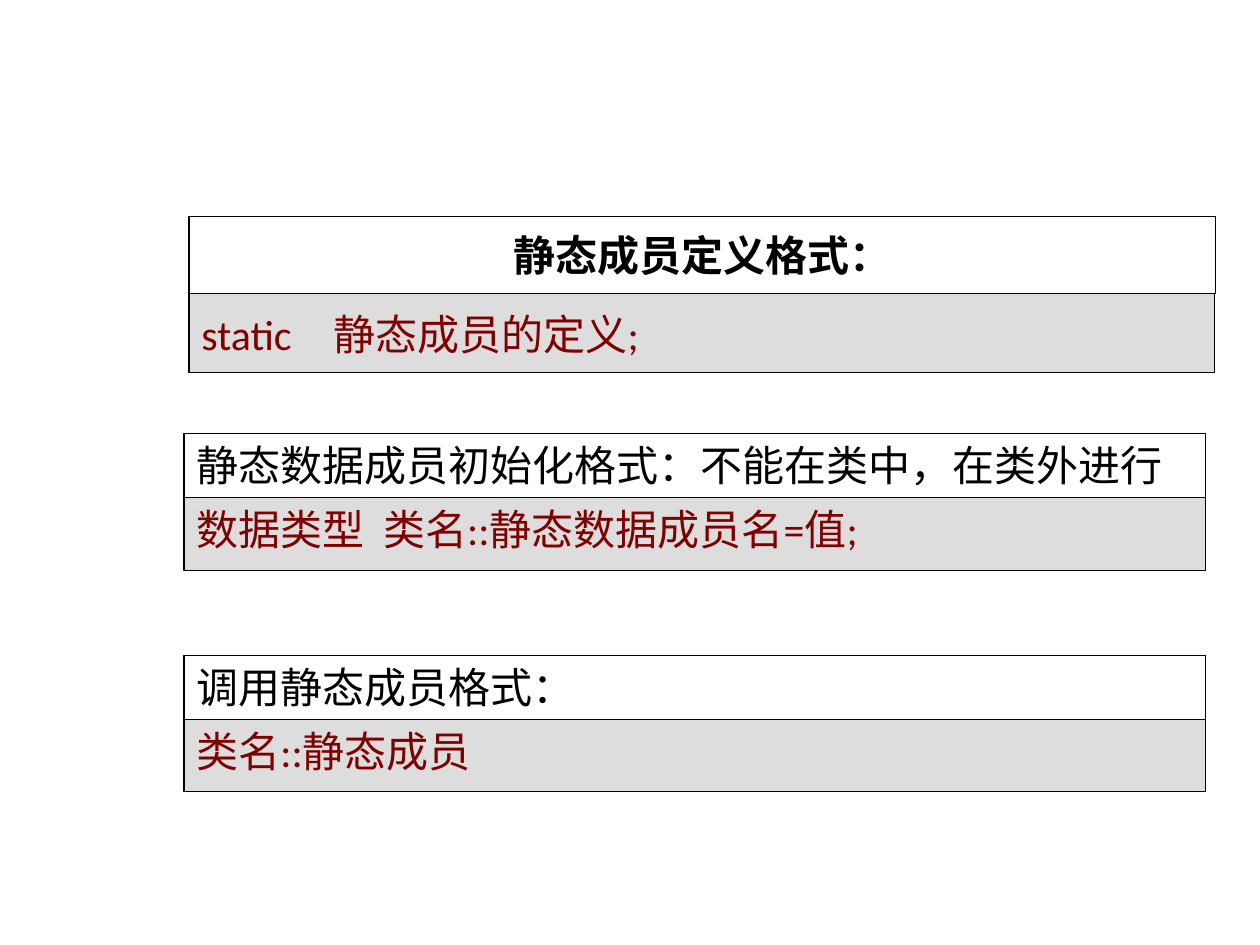
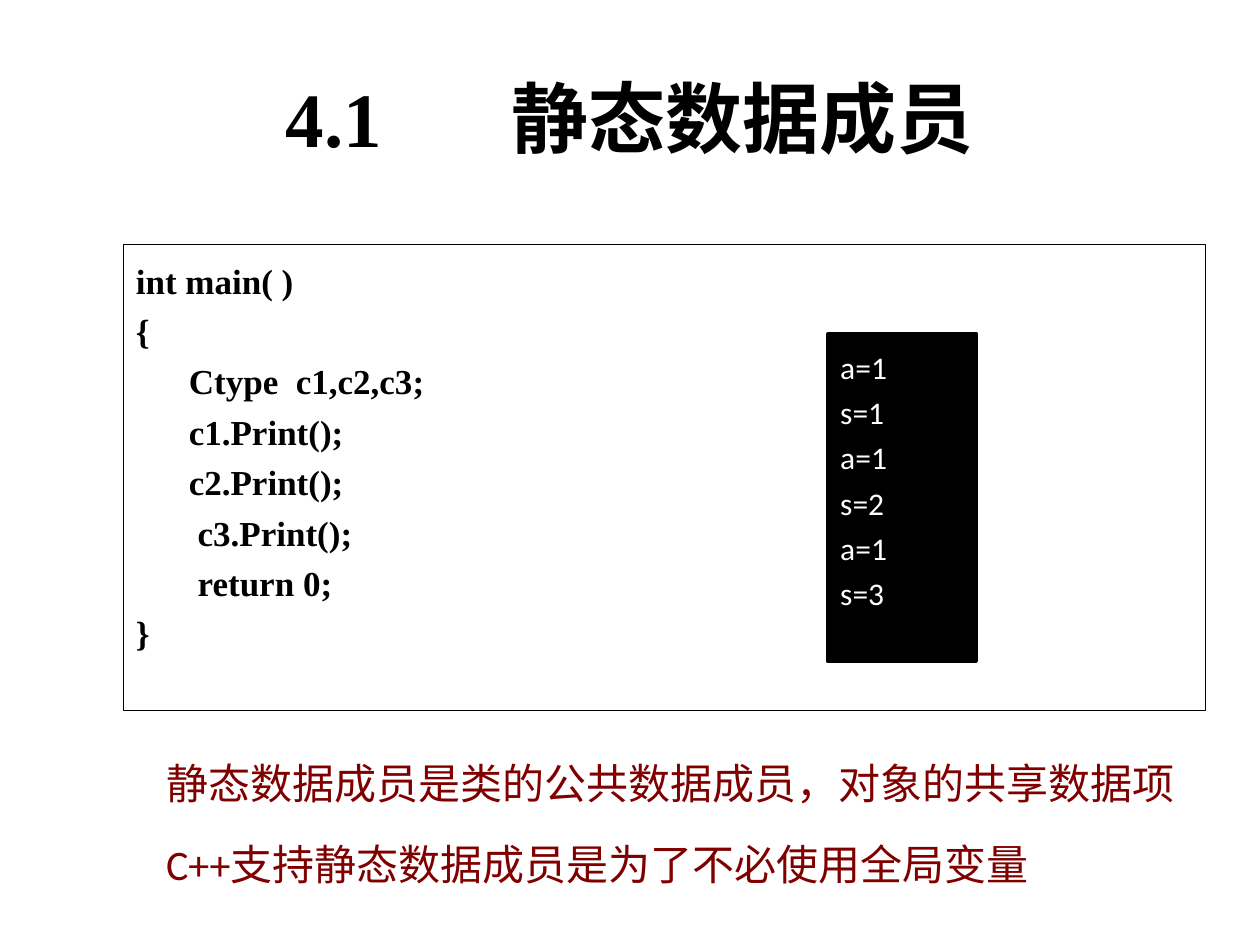
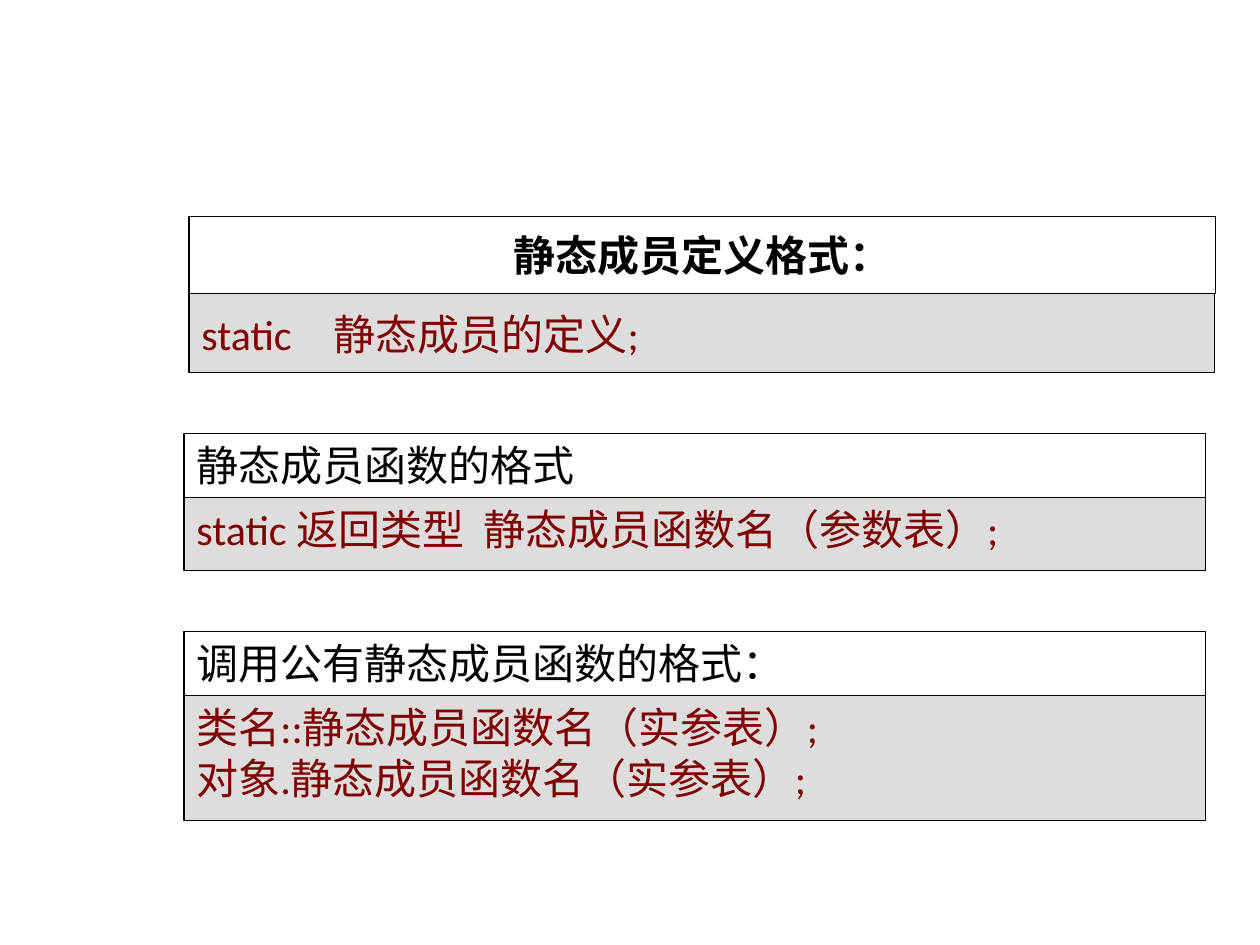
from pptx import Presentation
from pptx.dml.color import RGBColor
from pptx.enum.shapes import MSO_SHAPE as Preset
from pptx.enum.text import MSO_ANCHOR as Anchor, PP_ALIGN as Align
from pptx.util import Inches, Pt

COLORS = {"ink": "000000", "paper": "FFFFFF", "band": "DDDDDD", "accent": "800000"}
SERIF, SANS = "Times New Roman", "Calibri"

# Text styles
HEADING = {"size": 24, "name": SERIF, "color": "ink", "bold": True}
LABEL = {"size": 24, "name": SANS, "color": "ink"}
SYNTAX = {"size": 24, "name": SANS, "color": "accent"}
TITLE = {"size": 44, "name": SERIF, "color": "ink", "bold": True}
CODE = {"size": 20, "name": SERIF, "color": "ink", "bold": True}
CONSOLE = {"size": 18, "name": SANS, "color": "paper"}

# Format slides: heading box, then pairs of (top, label, body height, syntax lines)
DEFINITION = ("静态成员定义格式：", "static\u3000静态成员的定义;".replace("\u3000", "　"))
DATA_FORMATS = [
    (3.44, "静态数据成员初始化格式：不能在类中，在类外进行", 0.58,
     ["数据类型  类名::静态数据成员名=值;"]),
    (5.2, "调用静态成员格式：", 0.57, ["类名::静态成员"]),
]
FUNCTION_FORMATS = [
    (3.44, "静态成员函数的格式", 0.58,
     ["static 返回类型  静态成员函数名（参数表）;"]),
    (5.01, "调用公有静态成员函数的格式：", 0.99,
     ["类名::静态成员函数名（实参表）;", "对象.静态成员函数名（实参表）;"]),
]
PAIR_LEFT, PAIR_WIDTH, LABEL_HEIGHT = 1.46, 8.11, 0.51

# Example slide: code lines with their indents in inches
EXAMPLE_TITLE = ("4.1", "静态数据成员")
TITLE_GAP = 63
CODE_LINES = [
    ("int main( )", 0), ("{", 0), ("Ctype  c1,c2,c3;", 0.42), ("c1.Print();", 0.42),
    ("c2.Print();", 0.42), ("c3.Print();", 0.49), ("return 0;", 0.49), ("}", 0),
]
CONSOLE_LINES = [f"{name}={value}" for count in (1, 2, 3)
                 for name, value in (("a", 1), ("s", count))]
NOTES = ["静态数据成员是类的公共数据成员，对象的共享数据项",
         "C++支持静态数据成员是为了不必使用全局变量"]


def rgb(name):
    return RGBColor.from_string(COLORS[name])


def add_run(paragraph, text, style):
    run = paragraph.add_run()
    run.text = text
    for key, value in style.items():
        if key == "color":
            run.font.color.rgb = rgb(value)
        else:
            setattr(run.font, key, Pt(value) if key == "size" else value)
    return run


def add_box(shapes, box, lines, style, fill=None, line=0.75,
            anchor=Anchor.TOP, **paragraph_format):
    """Add a rectangle with one paragraph for each line of text."""
    shape = shapes.add_shape(Preset.RECTANGLE, *map(Inches, box))
    shape.shadow.inherit = False
    if fill:
        shape.fill.solid()
        shape.fill.fore_color.rgb = rgb(fill)
    else:
        shape.fill.background()
    if line:
        shape.line.color.rgb = rgb("ink")
        shape.line.width = Pt(line)
    else:
        shape.line.fill.background()
    frame = shape.text_frame
    frame.word_wrap = True
    frame.vertical_anchor = anchor
    settings = {"alignment": Align.LEFT, **paragraph_format}
    for index, text in enumerate(lines):
        paragraph = frame.add_paragraph() if index else frame.paragraphs[0]
        for key, value in settings.items():
            setattr(paragraph, key, value)
        add_run(paragraph, text, style)
    return shape


def add_format_slide(presentation, formats):
    shapes = presentation.slides.add_slide(presentation.slide_layouts[6]).shapes
    heading, syntax = DEFINITION
    add_box(shapes, (1.5, 1.72, 8.15, 0.61), [heading], HEADING, "paper",
            anchor=Anchor.MIDDLE, alignment=Align.CENTER)
    add_box(shapes, (1.5, 2.33, 8.14, 0.63), [syntax], SYNTAX, "band",
            anchor=Anchor.MIDDLE, alignment=Align.JUSTIFY)
    for top, label, height, lines in formats:
        pair = shapes.add_group_shape().shapes
        add_box(pair, (PAIR_LEFT, top + LABEL_HEIGHT, PAIR_WIDTH, height), lines,
                SYNTAX, "band", alignment=Align.JUSTIFY)
        add_box(pair, (PAIR_LEFT, top, PAIR_WIDTH, LABEL_HEIGHT), [label],
                LABEL, alignment=Align.JUSTIFY)


def add_example_slide(presentation):
    shapes = presentation.slides.add_slide(presentation.slide_layouts[6]).shapes

    # Title, with a widened space after the number
    title = shapes.add_textbox(*map(Inches, (0.5, 0.3, 9, 1.25))).text_frame
    title.word_wrap = True
    title.vertical_anchor = Anchor.MIDDLE
    paragraph = title.paragraphs[0]
    paragraph.alignment = Align.CENTER
    number, topic = EXAMPLE_TITLE
    add_run(paragraph, number, TITLE)
    gap = add_run(paragraph, " ", TITLE)
    gap.font._element.set("spc", str(TITLE_GAP * 100))
    add_run(paragraph, topic, TITLE)

    # Program and its output
    program = add_box(shapes, (0.98, 1.94, 8.59, 3.7), [text for text, _ in CODE_LINES],
                      CODE, "paper", line_spacing=1.2)
    for paragraph, (_, indent) in zip(program.text_frame.paragraphs, CODE_LINES):
        paragraph._p.get_or_add_pPr().set("marL", str(Inches(indent)))
    add_box(shapes, (6.57, 2.65, 1.18, 2.6), CONSOLE_LINES, CONSOLE, "ink", line=2,
            line_spacing=1.2)

    # Conclusions
    add_box(shapes, (1.22, 5.88, 8.27, 1.26), NOTES, SYNTAX, "paper", line=None,
            line_spacing=1.2, space_before=Pt(12))


def main():
    presentation = Presentation()
    presentation.slide_width, presentation.slide_height = Inches(10), Inches(7.5)
    add_format_slide(presentation, DATA_FORMATS)
    add_example_slide(presentation)
    add_format_slide(presentation, FUNCTION_FORMATS)
    presentation.save("out.pptx")


if __name__ == "__main__":
    main()
